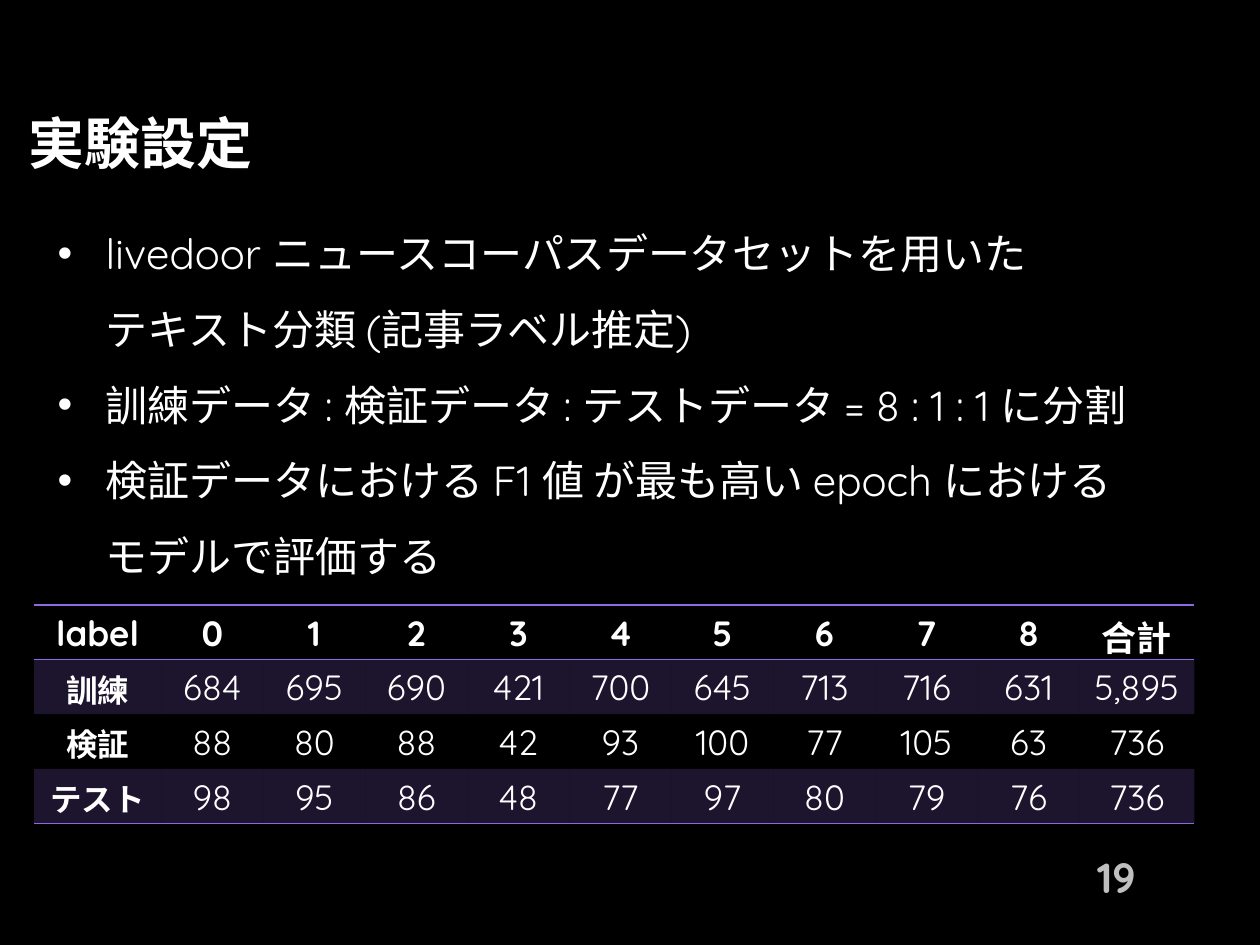
"""Build the experiment settings slide with its data split table."""
from pptx import Presentation
from pptx.dml.color import RGBColor
from pptx.enum.text import MSO_ANCHOR as Anchor, PP_ALIGN as Align
from pptx.oxml.ns import qn
from pptx.util import Inches, Pt
from lxml.etree import SubElement

WIDTH, HEIGHT = Inches(10), Inches(7.5)
COLORS = {"background": "000000", "text": "FFFFFF", "page": "BFBFBF", "accent": "9167E3"}
BODY_FONT = "Quicksand"
POINTS = [
    "livedoor ニュースコーパスデータセットを用いた\vテキスト分類 (記事ラベル推定)",
    "訓練データ : 検証データ : テストデータ = 8 : 1 : 1 に分割",
    "検証データにおける F1 値 が最も高い epoch における\vモデルで評価する",
]
SPLITS = [
    ["label", *map(str, range(9)), "合計"],
    ["訓練", "684", "695", "690", "421", "700", "645", "713", "716", "631", "5,895"],
    ["検証", "88", "80", "88", "42", "93", "100", "77", "105", "63", "736"],
    ["テスト", "98", "95", "86", "48", "77", "97", "80", "79", "76", "736"],
]
COLUMN_WIDTHS = [1.01] + [0.81] * 9 + [0.91]
ROW_HEIGHT = 0.41


def color(key):
    """Return the named colour."""
    return RGBColor.from_string(COLORS[key])


def share(left, top, width, height):
    """Turn percentages of the slide into a frame."""
    return [round(part * side / 100) for part, side in
            zip((left, top, width, height), (WIDTH, HEIGHT) * 2)]


def write(paragraph, text, size, bold=False, font=BODY_FONT, shade="text", align=Align.LEFT):
    """Fill one paragraph and style it."""
    paragraph.text = text
    paragraph.alignment = align
    paragraph.font.size = Pt(size)
    paragraph.font.bold = bold
    paragraph.font.name = font
    paragraph.font.color.rgb = color(shade)


def add_frame(slide, frame, anchor=Anchor.TOP):
    """Add a wrapping text frame."""
    text_frame = slide.shapes.add_textbox(*share(*frame)).text_frame
    text_frame.word_wrap = True
    text_frame.vertical_anchor = anchor
    return text_frame


def add_title(slide, text):
    """Add the slide title."""
    title = add_frame(slide, (1.3, 10.13, 91.7, 10.67))
    title.margin_top = title.margin_bottom = Inches(0.1)
    write(title.paragraphs[0], text, 32, bold=True, font="Arial")


def add_page_number(slide, number):
    """Add the page number at the lower right."""
    page = add_frame(slide, (78.1, 90.13, 13, 5.33), Anchor.MIDDLE)
    write(page.paragraphs[0], number, 24, bold=True, shade="page", align=Align.RIGHT)


def add_points(slide, points):
    """Add the bulleted list with hanging indents."""
    body = add_frame(slide, (3.6, 20.8, 93.7, 48.8))
    for index, point in enumerate(points):
        paragraph = body.add_paragraph() if index else body.paragraphs[0]
        paragraph.line_spacing = 1.5
        properties = paragraph._p.get_or_add_pPr()
        properties.set("marL", str(Inches(0.38)))
        properties.set("indent", str(-Inches(0.38)))
        SubElement(properties, qn("a:buFont"), typeface="Arial")
        SubElement(properties, qn("a:buChar"), char="•")
        write(paragraph, point, 24)


def rule_cell(cell, edges):
    """Draw accent lines on the given cell edges."""
    for edge in edges:
        line = SubElement(cell._tc.get_or_add_tcPr(), qn(f"a:ln{edge}"), w=str(Pt(1)))
        fill = SubElement(line, qn("a:solidFill"))
        SubElement(fill, qn("a:srgbClr"), val=COLORS["accent"])


def fill_cell(cell, banded):
    """Tint a banded cell and leave the others clear."""
    if not banded:
        cell.fill.background()
        return
    cell.fill.solid()
    cell.fill.fore_color.rgb = color("accent")
    tint = cell._tc.tcPr.find(qn("a:solidFill"))[0]
    SubElement(tint, qn("a:alpha"), val="20000")


def add_splits(slide, splits):
    """Add the table of label counts for each split."""
    frame = share(2.7, 64, 92.1, 21.87)
    table = slide.shapes.add_table(len(splits), len(splits[0]), *frame).table
    table._tbl.tblPr.find(qn("a:tableStyleId")).text = "{2D5ABB26-0587-4C30-8999-92F81FD0307C}"
    for column, width in zip(table.columns, COLUMN_WIDTHS):
        column.width = Inches(width)
    edges = {0: "TB", len(splits) - 1: "B"}
    for r, counts in enumerate(splits):
        table.rows[r].height = Inches(ROW_HEIGHT)
        for c, count in enumerate(counts):
            cell = table.cell(r, c)
            rule_cell(cell, edges.get(r, ""))
            fill_cell(cell, r % 2 == 1)
            size = 18 if r and not c else 20
            write(cell.text_frame.paragraphs[0], count, size,
                  bold=r == 0 or c == 0, align=Align.CENTER)


def main():
    """Build and save the slide."""
    deck = Presentation()
    deck.slide_width, deck.slide_height = WIDTH, HEIGHT
    slide = deck.slides.add_slide(deck.slide_layouts[6])
    slide.background.fill.solid()
    slide.background.fill.fore_color.rgb = color("background")
    add_title(slide, "実験設定")
    add_page_number(slide, "19")
    add_points(slide, POINTS)
    add_splits(slide, SPLITS)
    deck.save("out.pptx")


if __name__ == "__main__":
    main()
